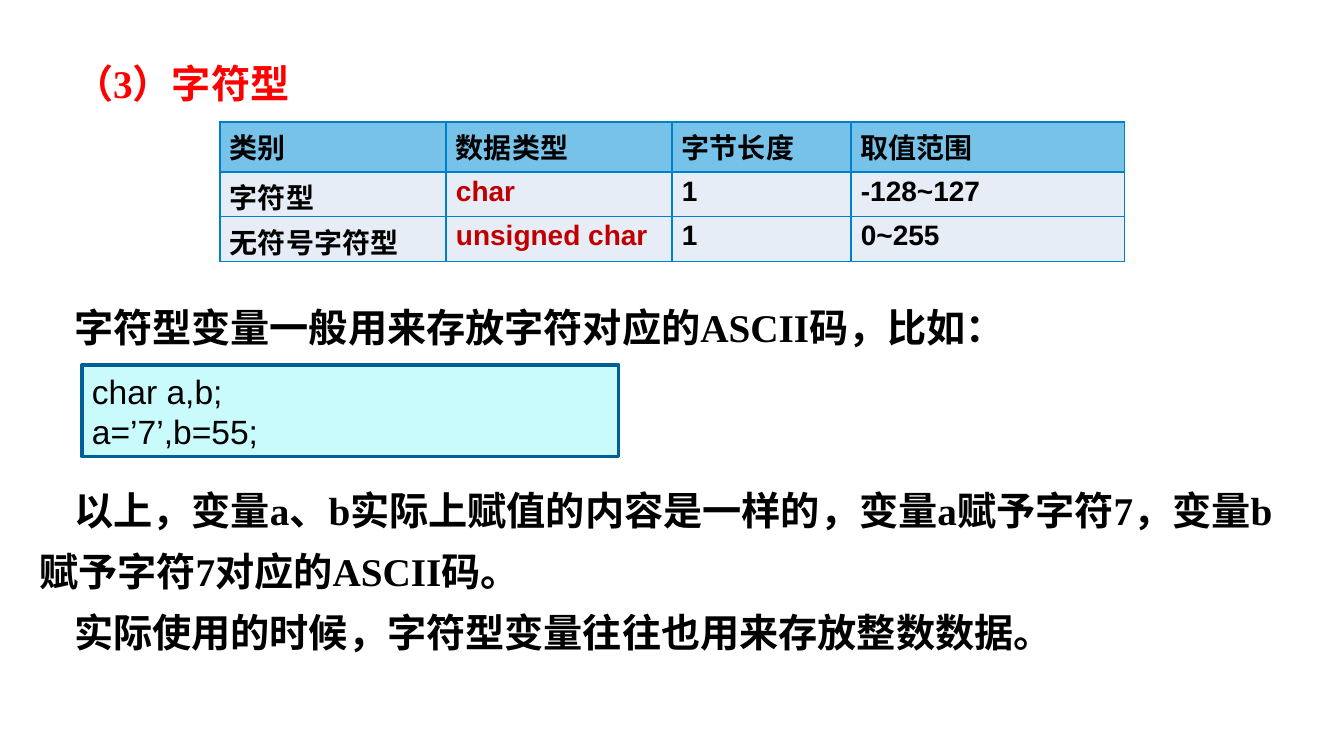
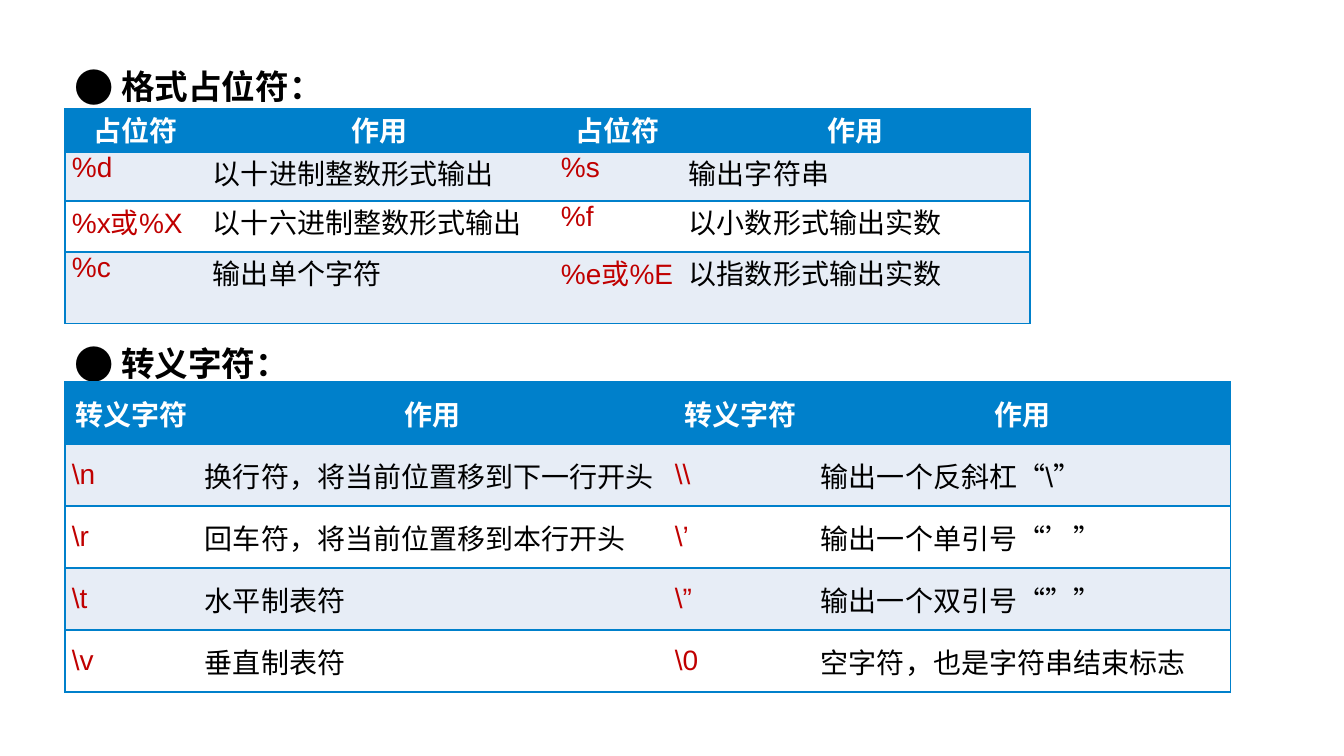
from dataclasses import dataclass

from lxml import etree
from pptx import Presentation
from pptx.dml.color import RGBColor
from pptx.enum.shapes import MSO_SHAPE
from pptx.enum.text import MSO_ANCHOR, MSO_AUTO_SIZE, PP_ALIGN
from pptx.oxml.ns import qn
from pptx.util import Emu, Pt

RECTANGLE = MSO_SHAPE.RECTANGLE
TOP, MIDDLE = MSO_ANCHOR.TOP, MSO_ANCHOR.MIDDLE
LEFT, CENTER = PP_ALIGN.LEFT, PP_ALIGN.CENTER
NO_FIT = MSO_AUTO_SIZE.NONE
EMU_PER_PX = 12192000 / 1344
CONTENT_LAYOUT, TWO_CONTENT_LAYOUT = 1, 3


@dataclass(frozen=True)
class Theme:
    black: str = "000000"
    white: str = "FFFFFF"
    red: str = "FF0000"
    code_red: str = "C00000"
    blue: str = "0080CB"
    sky: str = "77C2E8"
    pale: str = "E7EDF6"
    cyan: str = "C9FAFC"
    navy: str = "005F96"
    serif: str = "Times New Roman"
    sans: str = "Arial"
    east_asian: str = "Noto Sans CJK SC"
    text_size: int = 28
    heading_size: int = 24
    cell_size: int = 20
    line_pitch: float = 43.6
    text_left: int = 29
    text_width: int = 1286
    indent: int = 35
    bullet_gap: int = 47


THEME = Theme()


@dataclass(frozen=True)
class TableStyle:
    header_fill: str
    header_color: str
    header_align: PP_ALIGN
    body_fills: tuple
    code_columns: tuple
    body_bold: bool
    inner_verticals: bool
    margins: tuple
    anchor: MSO_ANCHOR = TOP


TYPE_STYLE = TableStyle(THEME.sky, THEME.black, LEFT, (THEME.pale,), (1,),
                        True, True, (10, 4, 10, 0))
PAIR_STYLE = dict(header_fill=THEME.blue, header_color=THEME.white, header_align=CENTER,
                  body_fills=(THEME.pale, THEME.white), code_columns=(0, 2),
                  body_bold=False, inner_verticals=False, margins=(7, 0, 7, 0))
FORMAT_STYLE = TableStyle(**PAIR_STYLE)
ESCAPE_STYLE = TableStyle(**PAIR_STYLE, anchor=MIDDLE)

TYPE_ROWS = [
    ("类别", "数据类型", "字节长度", "取值范围"),
    ("字符型", "char", "1", "-128~127"),
    ("无符号字符型", "unsigned char", "1", "0~255"),
]
FORMAT_ROWS = [
    ("占位符", "作用", "占位符", "作用"),
    ("%d", "以十进制整数形式输出", "%s", "输出字符串"),
    ("%x或%X", "以十六进制整数形式输出", "%f", "以小数形式输出实数"),
    ("%c", "输出单个字符", "%e或%E", "以指数形式输出实数"),
]
ESCAPE_ROWS = [
    ("转义字符", "作用", "转义字符", "作用"),
    ("\\n", "换行符，将当前位置移到下一行开头", "\\\\", "输出一个反斜杠“\\”"),
    ("\\r", "回车符，将当前位置移到本行开头", "\\’", "输出一个单引号“’”"),
    ("\\t", "水平制表符", "\\”", "输出一个双引号“””"),
    ("\\v", "垂直制表符", "\\0", "空字符，也是字符串结束标志"),
]


def px(length):
    return Emu(round(length * EMU_PER_PX))


def rgb(color):
    return RGBColor.from_string(color)


def add_span(para, text, size, color, font, bold=False):
    span = para.add_run()
    span.text = text
    span.font.size = Pt(size)
    span.font.bold = bold
    span.font.name = font
    span.font.color.rgb = rgb(color)
    properties = span.font._element
    etree.SubElement(properties, qn("a:ea"), typeface=THEME.east_asian)


def set_indent(para, bulleted):
    properties = para._p.get_or_add_pPr()
    margin = THEME.indent + THEME.bullet_gap if bulleted else 0
    first = -THEME.bullet_gap if bulleted else THEME.indent
    properties.set("marL", str(px(margin)))
    properties.set("indent", str(px(first)))
    if bulleted:
        percent = round(THEME.text_size / THEME.heading_size * 100) * 1000
        etree.SubElement(properties, qn("a:buSzPct"), val=str(percent))
        etree.SubElement(properties, qn("a:buFont"), typeface=THEME.east_asian)
        etree.SubElement(properties, qn("a:buChar"), char="●")
    else:
        etree.SubElement(properties, qn("a:buNone"))


def fill_placeholder(box, top, height, texts, size=THEME.text_size,
                     color=THEME.black, bulleted=False):
    box.left, box.top = px(THEME.text_left), px(top)
    box.width, box.height = px(THEME.text_width), px(height)
    frame = box.text_frame
    frame.word_wrap = True
    frame.auto_size = NO_FIT
    frame.vertical_anchor = TOP
    for index, text in enumerate(texts):
        para = frame.add_paragraph() if index else frame.paragraphs[0]
        set_indent(para, bulleted)
        para.alignment = LEFT
        para.line_spacing = Pt(THEME.line_pitch)
        para.space_before = Pt(0)
        add_span(para, text, size, color, THEME.serif, bold=True)


def add_bullet_heading(box, top, text):
    fill_placeholder(box, top, 71, [text], size=THEME.heading_size, bulleted=True)


def add_code_box(page, left, top, width, height, lines):
    box = page.shapes.add_shape(RECTANGLE, px(left), px(top), px(width), px(height))
    box.shadow.inherit = False
    box.fill.solid()
    box.fill.fore_color.rgb = rgb(THEME.cyan)
    box.line.color.rgb = rgb(THEME.navy)
    box.line.width = Pt(2.25)
    frame = box.text_frame
    frame.word_wrap = True
    frame.vertical_anchor = MIDDLE
    for index, line in enumerate(lines):
        para = frame.add_paragraph() if index else frame.paragraphs[0]
        para.alignment = LEFT
        add_span(para, line, THEME.heading_size, THEME.black, THEME.sans)


def set_borders(cell, left, right):
    properties = cell._tc.get_or_add_tcPr()
    sides = (("a:lnL", left), ("a:lnR", right), ("a:lnT", True), ("a:lnB", True))
    for index, (tag, visible) in enumerate(sides):
        border = etree.Element(qn(tag), w=str(Pt(1)))
        if visible:
            fill = etree.SubElement(border, qn("a:solidFill"))
            etree.SubElement(fill, qn("a:srgbClr"), val=THEME.blue)
        else:
            etree.SubElement(border, qn("a:noFill"))
        properties.insert(index, border)


def format_cell(cell, text, row, column, last_column, style):
    header = row == 0
    if header:
        fill, color = style.header_fill, style.header_color
    else:
        fill = style.body_fills[(row - 1) % len(style.body_fills)]
        color = THEME.code_red if column in style.code_columns else THEME.black
    cell.fill.solid()
    cell.fill.fore_color.rgb = rgb(fill)
    (cell.margin_left, cell.margin_top,
     cell.margin_right, cell.margin_bottom) = map(px, style.margins)
    cell.vertical_anchor = style.anchor
    set_borders(cell, style.inner_verticals or column == 0,
                style.inner_verticals or column == last_column)
    para = cell.text_frame.paragraphs[0]
    para.alignment = style.header_align if header else LEFT
    add_span(para, text, THEME.cell_size, color, THEME.sans, header or style.body_bold)


def add_grid(page, left, top, widths, heights, rows, style):
    frame = page.shapes.add_table(len(rows), len(widths), px(left), px(top),
                                  px(sum(widths)), px(sum(heights)))
    table = frame.table
    for column, width in zip(table.columns, widths):
        column.width = px(width)
    for table_row, height in zip(table.rows, heights):
        table_row.height = px(height)
    for row, texts in enumerate(rows):
        for column, text in enumerate(texts):
            format_cell(table.cell(row, column), text, row, column,
                        len(widths) - 1, style)


def add_page(deck, layout):
    return deck.slides.add_slide(deck.slide_layouts[layout])


def build_char_page(deck):
    page = add_page(deck, TWO_CONTENT_LAYOUT)
    title, intro, summary = page.placeholders
    fill_placeholder(title, 40, 71, ["（3）字符型"], color=THEME.red)
    fill_placeholder(intro, 284, 71, ["字符型变量一般用来存放字符对应的ASCII码，比如："])
    fill_placeholder(summary, 467, 193, [
        "以上，变量a、b实际上赋值的内容是一样的，变量a赋予字符7，变量b赋予字符7对应的ASCII码。",
        "实际使用的时候，字符型变量往往也用来存放整数数据。",
    ])
    add_grid(page, 220, 122, (226, 226, 179, 274), (50, 44, 44), TYPE_ROWS, TYPE_STYLE)
    add_code_box(page, 82, 365, 537, 92, ["char a,b;", "a=’7’,b=55;"])


def build_symbol_page(deck):
    page = add_page(deck, CONTENT_LAYOUT)
    title, escape_heading = page.placeholders
    add_bullet_heading(title, 40, "格式占位符：")
    add_bullet_heading(escape_heading, 317, "转义字符：")
    add_grid(page, 65, 109, (141, 348, 128, 348), (43, 49, 51, 67),
             FORMAT_ROWS, FORMAT_STYLE)
    add_grid(page, 65, 382, (133, 470, 146, 417), [62] * len(ESCAPE_ROWS),
             ESCAPE_ROWS, ESCAPE_STYLE)


def main():
    deck = Presentation()
    deck.slide_width, deck.slide_height = px(1344), px(756)
    build_char_page(deck)
    build_symbol_page(deck)
    deck.save("out.pptx")


if __name__ == "__main__":
    main()
